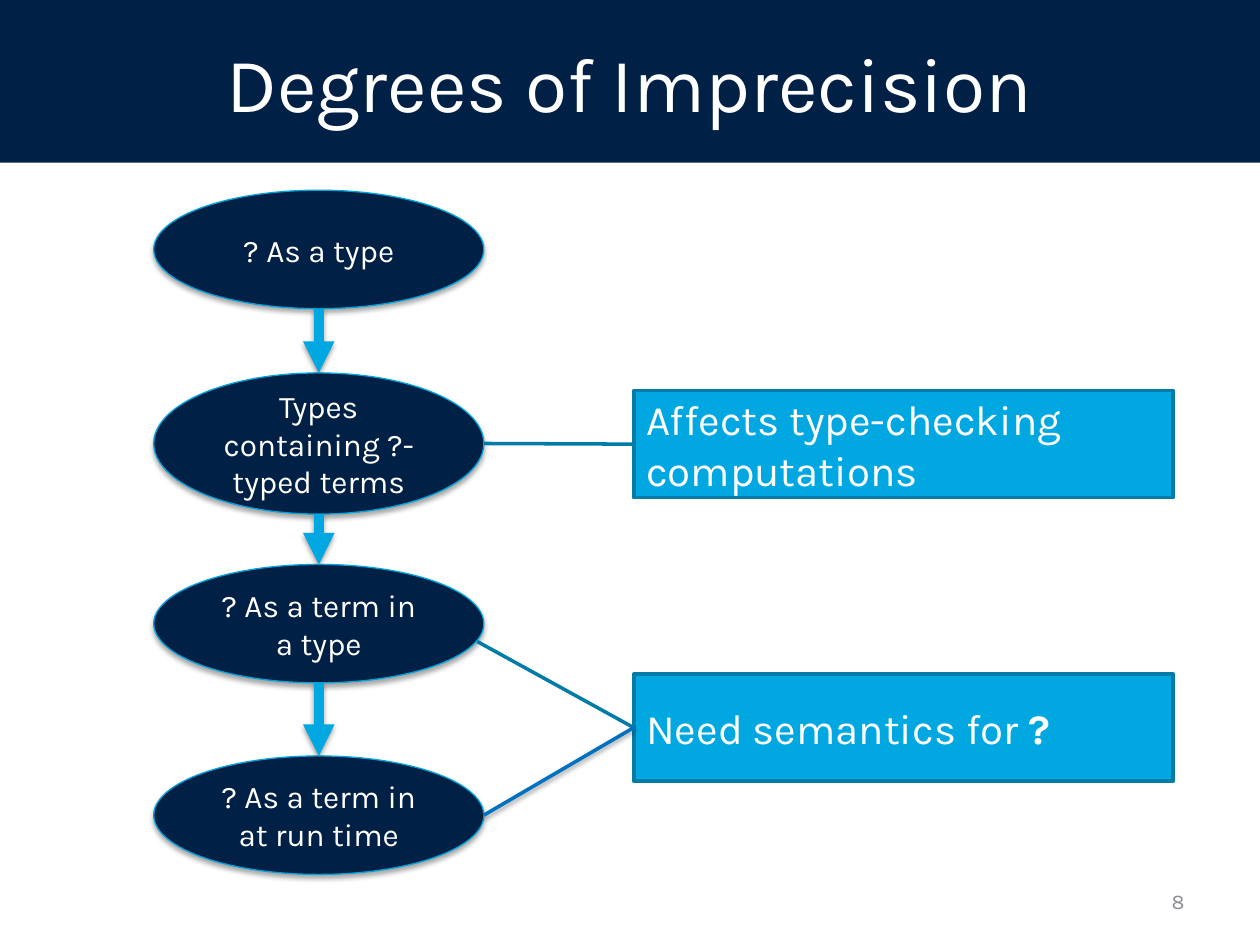
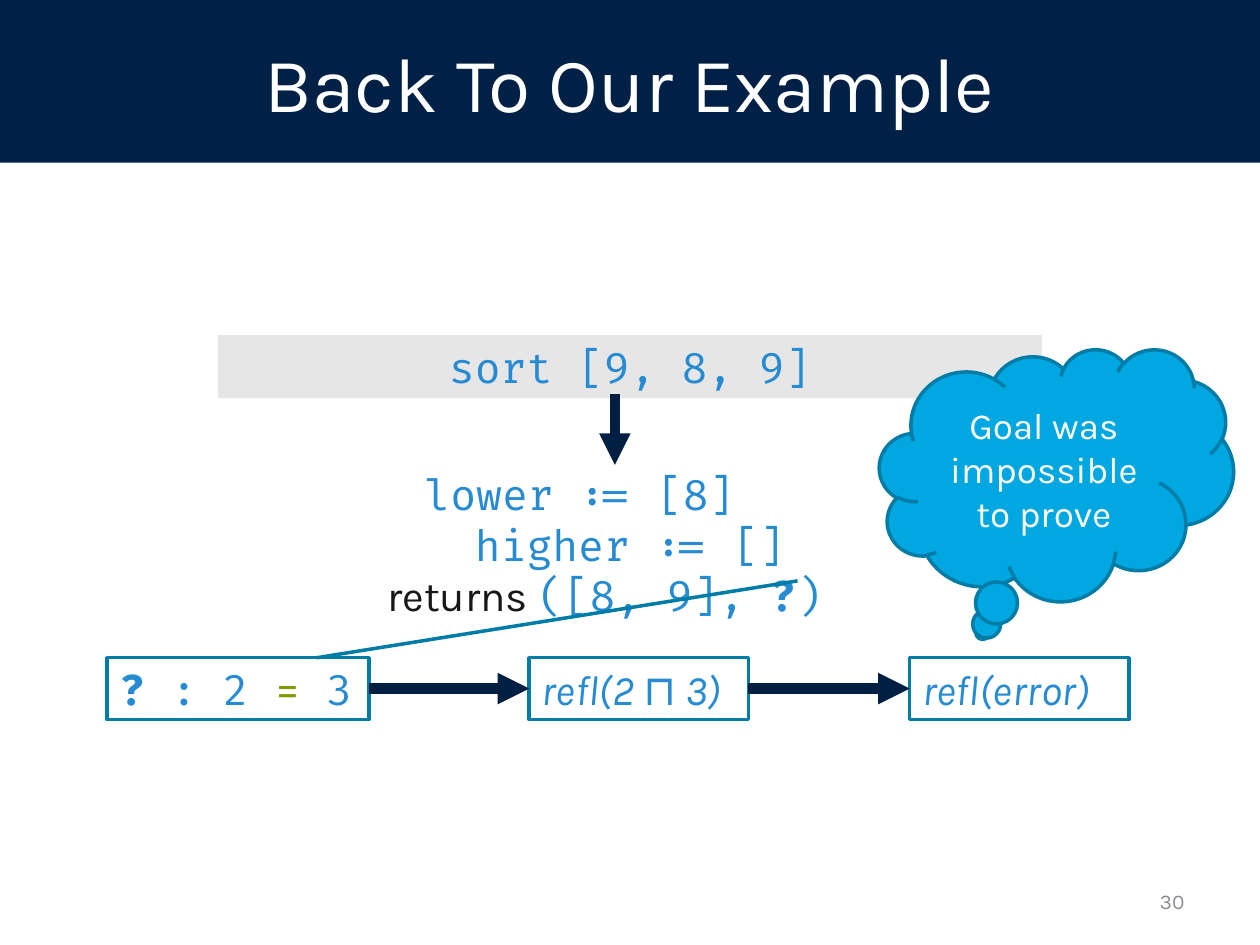
"""Build two slides on gradual types: a chain of degrees and a worked example."""
from dataclasses import dataclass
from itertools import pairwise

from lxml import etree
from pptx import Presentation, util as u
from pptx.dml.color import RGBColor
from pptx.enum import shapes, text
from pptx.oxml.ns import qn

COLUMNS, ROWS = 100, 75
SHAPE = shapes.MSO_SHAPE
ALIGN = text.PP_ALIGN
ANCHOR = text.MSO_ANCHOR


@dataclass(frozen=True)
class Theme:
    """Colours, fonts and sizes of the deck."""
    navy: str = "002145"
    arrow_navy: str = "002043"
    sky: str = "00A7E1"
    rim: str = "00A3DC"
    teal: str = "007CA6"
    link: str = "0070C0"
    code: str = "268BD2"
    operator: str = "859900"
    ink: str = "181717"
    band: str = "E7E6E6"
    muted: str = "8C8D94"
    white: str = "FFFFFF"
    black: str = "000000"
    prose_font: str = "Karla"
    code_font: str = "Fira Code"
    title_size: int = 44
    main_size: int = 24
    cloud_size: int = 21
    node_size: int = 18
    number_size: int = 12
    rule: float = 2
    arrow: float = 6


THEME = Theme()


@dataclass(frozen=True)
class Box:
    """A rectangle in grid columns and rows."""
    left: float
    top: float
    width: float
    height: float

    def within(self, left, top, width, height):
        """Return a box placed relative to this one."""
        return Box(self.left + left, self.top + top, width, height)

    def point(self, across, down):
        """Return the grid point at shares of the width and height."""
        return self.left + across * self.width, self.top + down * self.height


class Page:
    """One slide whose contents are placed on the grid."""

    def __init__(self, deck, title, number):
        """Add a slide with its title band and number."""
        self.slide = deck.slides.add_slide(deck.slide_layouts[5])
        self.column = deck.slide_width / COLUMNS
        self.row = deck.slide_height / ROWS
        heading = self.slide.shapes.title
        heading.left, heading.top, heading.width, heading.height = self.emu(
            Box(0, 0, COLUMNS, 12.9))
        paint(heading, THEME.navy)
        write(heading, [[title]], THEME.title_size, align=ALIGN.CENTER)
        self.label(Box(71.7, 69.5, 23.3, 4), [[str(number)]], THEME.number_size,
                   THEME.muted, align=ALIGN.RIGHT)

    def emu(self, box):
        """Return the position and size of a box on the slide."""
        return (u.Emu(round(box.left * self.column)), u.Emu(round(box.top * self.row)),
                u.Emu(round(box.width * self.column)), u.Emu(round(box.height * self.row)))

    def label(self, box, paragraphs, *style, **options):
        """Add a text box."""
        area = self.slide.shapes.add_textbox(*self.emu(box))
        write(area, paragraphs, *style, **options)
        return area

    def shape(self, kind, box, fill, line=None, width=THEME.rule):
        """Add a preset shape with flat paint."""
        figure = self.slide.shapes.add_shape(kind, *self.emu(box))
        figure.shadow.inherit = False
        paint(figure, fill, line, width)
        return figure

    def callout(self, box, start, end, fill):
        """Add a box whose pointer runs between two grid points."""
        figure = self.shape(SHAPE.LINE_CALLOUT_1, box, fill, THEME.teal)
        shares = [share for x, y in (start, end)
                  for share in ((y - box.top) / box.height, (x - box.left) / box.width)]
        for place, share in enumerate(shares):
            figure.adjustments[place] = share
        return figure

    def connect(self, start, end, colour, width, arrow=False, shadow=False):
        """Add a straight line between two grid points."""
        ends = [round(value * unit) for point in (start, end)
                for value, unit in zip(point, (self.column, self.row))]
        line = self.slide.shapes.add_connector(shapes.MSO_CONNECTOR.STRAIGHT, *ends)
        line.line.color.rgb = RGBColor.from_string(colour)
        line.line.width = u.Pt(width)
        properties = line._element.spPr
        if arrow:
            etree.SubElement(properties.find(qn("a:ln")), qn("a:tailEnd"), type="triangle")
        etree.SubElement(properties, qn("a:effectLst"))
        if shadow:
            cast_shadow(line, 1.6, 38)
        return line


def paint(figure, fill, line=None, width=THEME.rule):
    """Set a solid fill and an optional outline."""
    figure.fill.solid()
    figure.fill.fore_color.rgb = RGBColor.from_string(fill)
    if line:
        figure.line.color.rgb = RGBColor.from_string(line)
        figure.line.width = u.Pt(width)
    else:
        figure.line.fill.background()


def cast_shadow(figure, distance, opacity):
    """Drop a soft shadow straight down."""
    effects = figure._element.spPr.find(qn("a:effectLst"))
    shadow = etree.SubElement(effects, qn("a:outerShdw"), blurRad=str(u.Pt(3.1)),
                              dist=str(u.Pt(distance)), dir="5400000", rotWithShape="0")
    colour = etree.SubElement(shadow, qn("a:srgbClr"), val=THEME.black)
    etree.SubElement(colour, qn("a:alpha"), val=str(opacity * 1000))


def set_font(font, size=None, colour=None, name=None, bold=None, italic=None):
    """Set the given traits of a font."""
    if size:
        font.size = u.Pt(size)
    if colour:
        font.color.rgb = RGBColor.from_string(colour)
    if name:
        font.name = name
    font.bold, font.italic = bold, italic


def write(figure, paragraphs, size=THEME.main_size, colour=THEME.white,
          name=THEME.prose_font, align=ALIGN.LEFT, anchor=ANCHOR.MIDDLE, italic=None):
    """Fill a shape with paragraphs of strings or (string, traits) pairs."""
    frame = figure.text_frame
    frame.word_wrap = True
    frame.auto_size = text.MSO_AUTO_SIZE.NONE
    frame.vertical_anchor = anchor
    for place, pieces in enumerate(paragraphs):
        paragraph = frame.add_paragraph() if place else frame.paragraphs[0]
        paragraph.alignment = align
        set_font(paragraph.font, size, colour, name, italic=italic)
        for piece in pieces:
            words, traits = (piece, {}) if isinstance(piece, str) else piece
            run = paragraph.add_run()
            run.text = words
            if traits:
                set_font(run.font, **traits)


def degree_chain(page, box):
    """Draw the degrees as ovals joined by arrows and return their boxes."""
    degrees = [("? As a type", 0, 9.4),
               ("Types containing ?-typed terms", 14.5, 11.2),
               ("? As a term in a type", 29.7, 9.4),
               ("? As a term in at run time", 44.9, 9.4)]
    ovals = []
    for words, top, height in degrees:
        oval = box.within(0, top, box.width, height)
        degree = page.shape(SHAPE.OVAL, oval, THEME.navy, THEME.rim, 0.75)
        cast_shadow(degree, 1.8, 35)
        write(degree, [[words]], THEME.node_size, align=ALIGN.CENTER)
        ovals.append(oval)
    for upper, lower in pairwise(ovals):
        page.connect(upper.point(0.5, 1), lower.point(0.5, 0), THEME.sky,
                     THEME.arrow, arrow=True, shadow=True)
    return ovals


def consequences(page, box, ovals):
    """Draw the remarks and point them at the degrees they concern."""
    _, types, term, run_time = ovals
    checking = box.within(0, 0, box.width, 8.5)
    semantics = box.within(0, 22.5, box.width, 8.5)
    remarks = [(checking, types.point(1, 0.5), ["Affects type-checking computations"]),
               (semantics, term.point(0.98, 0.65),
                ["Need semantics for ", ("?", {"bold": True})])]
    for place, target, words in remarks:
        remark = page.callout(place, target, place.point(0, 0.5), THEME.sky)
        write(remark, [words])
    page.connect(semantics.point(0, 0.5), run_time.point(1, 0.5), THEME.link,
                 THEME.rule, shadow=True)


def sort_example(page, box):
    """Draw the call, its arrow and the values it leads to."""
    call = page.shape(SHAPE.RECTANGLE, box.within(0, 0, box.width, 5), THEME.band)
    code = {"colour": THEME.code, "name": THEME.code_font, "anchor": ANCHOR.TOP}
    write(call, [["sort [9, 8, 9]"]], align=ALIGN.CENTER, **code)
    steps = [["lower := [8]"],
             ["higher := []"],
             [("returns ", {"colour": THEME.ink, "name": THEME.prose_font}),
              "([8, 9], ", ("?", {"bold": True}), ")"]]
    indents = (0, 8, 4)
    values = page.label(box.within(0, 10.1, box.width - max(indents), 13.1), steps,
                        align=ALIGN.CENTER, **code)
    for paragraph, indent in zip(values.text_frame.paragraphs, indents):
        properties = paragraph._p.get_or_add_pPr()
        properties.set("marL", str(round(indent * page.column)))
        properties.set("indent", "0")
    descent = box.within(31.5, 4.7, 0, 5.6)
    page.connect(descent.point(0, 0), descent.point(0, 1),
                 THEME.arrow_navy, THEME.arrow, arrow=True)


def proof_steps(page, box, unknown):
    """Draw the proof term reducing to an error, pointed at the unknown value."""
    goal = box.within(0, 0, 20.8, box.height)
    meet = box.within(33.5, 0, 17.4, box.height)
    error = box.within(63.7, 0, 17.4, box.height)
    term = page.callout(goal, goal.point(0.8, 0), unknown, THEME.white)
    write(term, [[("? ", {"bold": True}), ": 2 ", ("=", {"colour": THEME.operator}), " 3"]],
          colour=THEME.code, name=THEME.code_font)
    results = []
    for place, words in ((meet, [("refl(2 ", {"italic": True}), "⊓", (" 3)", {"italic": True})]),
                         (error, [("refl(error)", {"italic": True})])):
        result = page.shape(SHAPE.RECTANGLE, place, THEME.white, THEME.teal)
        write(result, [words], colour=THEME.code)
        results.append(result)
    for before, after, result in zip((goal, meet), (meet, error), results):
        step = page.connect(before.point(1, 0.5), after.point(0, 0.5),
                            THEME.arrow_navy, THEME.arrow, arrow=True)
        step.end_connect(result, 1)
        if before is meet:
            step.begin_connect(results[0], 3)


def verdict(page, box):
    """Draw the thought cloud."""
    cloud = page.shape(SHAPE.CLOUD_CALLOUT, box, THEME.sky, THEME.teal)
    write(cloud, [["Goal was impossible to prove"]], THEME.cloud_size, align=ALIGN.CENTER)


def main():
    """Build and save the deck."""
    deck = Presentation()
    deck.slide_width, deck.slide_height = u.Inches(10), u.Inches(7.5)

    degrees = Page(deck, "Degrees of Imprecision", 8)
    ovals = degree_chain(degrees, Box(12.2, 15.1, 26.2, 54.3))
    consequences(degrees, Box(50.3, 31, 42.8, 31), ovals)

    example = Page(deck, "Back To Our Example", 30)
    sort_example(example, Box(17.3, 26.6, 65.4, 23.2))
    proof_steps(example, Box(8.5, 52.2, 81.1, 4.9), (63.3, 46.1))
    verdict(example, Box(69.8, 27.7, 28.1, 20))

    deck.save("out.pptx")


if __name__ == "__main__":
    main()
